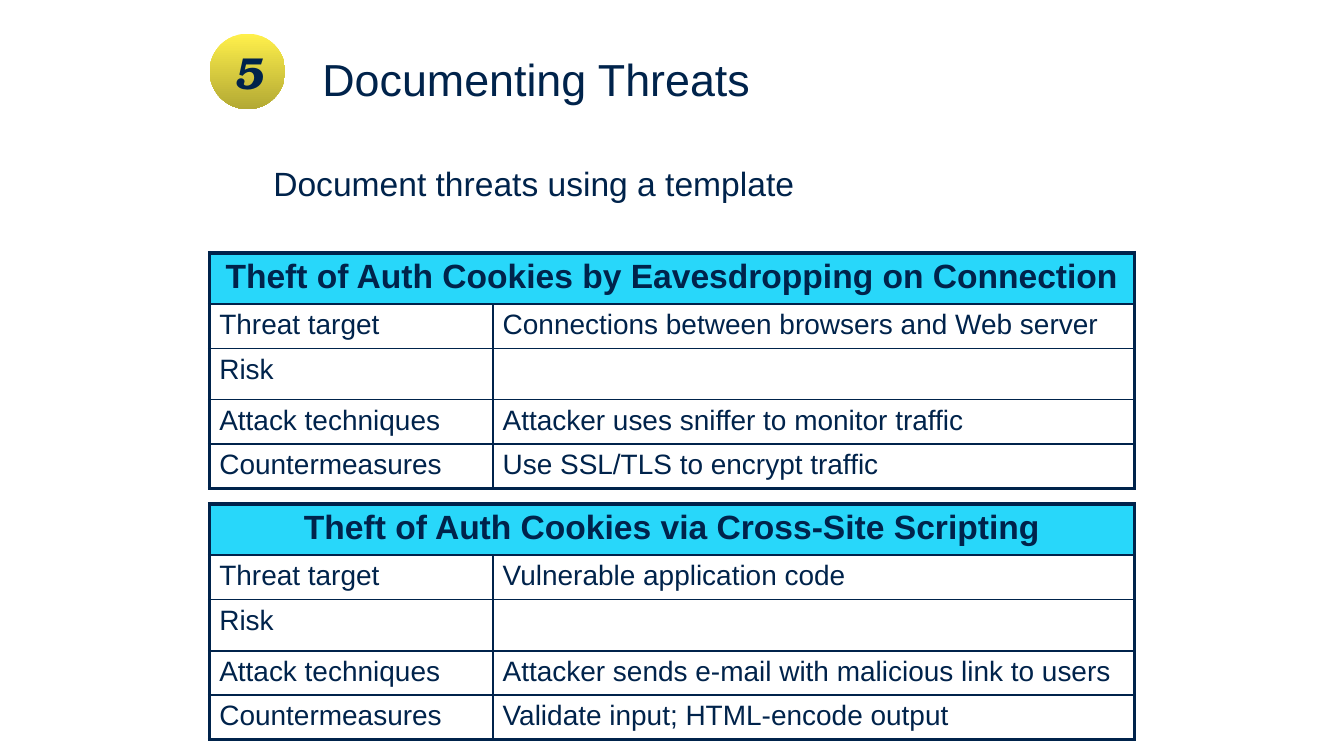
from lxml import etree
from pptx import Presentation
from pptx.dml.color import RGBColor
from pptx.enum import shapes, text
from pptx.oxml import ns
from pptx.util import Pt

NAVY = RGBColor(0x00, 0x23, 0x4B)
CYAN = RGBColor(0x28, 0xD7, 0xFA)
YELLOW = RGBColor(0xFF, 0xF0, 0x4B)
OLIVE = RGBColor(0xB3, 0xA9, 0x34)
LEFT, WIDTH = 112.3, 495.4
COLS = [151.8, 343.6]
ROWS = [27.3, 23.4, 26, 23.4, 23.4]
LABELS = ["Threat target", "Risk", "Attack techniques", "Countermeasures"]
THIN, THICK = 1, 2.25

THREATS = [
    (135.4, "Theft of Auth Cookies by Eavesdropping on Connection",
     ["Connections between browsers and Web server", "",
      "Attacker uses sniffer to monitor traffic",
      "Use SSL/TLS to encrypt traffic"]),
    (270, "Theft of Auth Cookies via Cross-Site Scripting",
     ["Vulnerable application code", "",
      "Attacker sends e-mail with malicious link to users",
      "Validate input; HTML-encode output"]),
]


def write(frame, words, size, bold=False, font="Arial"):
    """Add one run to the first paragraph and return both."""
    para = frame.paragraphs[0]
    run = para.add_run()
    run.text = words
    run.font.size = Pt(size)
    run.font.name = font
    run.font.bold = bold
    run.font.color.rgb = NAVY
    return para, run


def edge(cell, sides):
    """Draw the cell's borders; sides maps L, R, T, B to widths, in that order."""
    props = cell._tc.get_or_add_tcPr()
    for spot, (side, width) in enumerate(sides.items()):
        line = etree.Element(ns.qn(f"a:ln{side}"), w=str(Pt(width)))
        fill = etree.SubElement(line, ns.qn("a:solidFill"))
        etree.SubElement(fill, ns.qn("a:srgbClr"), val=str(NAVY))
        props.insert(spot, line)


deck = Presentation()
deck.slide_width, deck.slide_height = Pt(720), Pt(405)
slide = deck.slides.add_slide(deck.slide_layouts[6])

# Title and lead line
title = slide.shapes.add_textbox(Pt(165.6), Pt(27.4), Pt(437.8), Pt(80.6))
title.text_frame.word_wrap = True
para, run = write(title.text_frame, "Documenting Threats", 24)
para.line_spacing = 0.9

lead = slide.shapes.add_textbox(Pt(LEFT), Pt(83.5), Pt(WIDTH), Pt(28.8))
lead.text_frame.word_wrap = True
para, run = write(lead.text_frame, "Document threats using a template", 18)
para._p.get_or_add_pPr().set("marL", str(Pt(27)))

# Threat tables
for top, head, notes in THREATS:
    frame = slide.shapes.add_table(len(ROWS), len(COLS), Pt(LEFT), Pt(top),
                                   Pt(WIDTH), Pt(sum(ROWS)))
    table = frame.table
    for col, width in zip(table.columns, COLS):
        col.width = Pt(width)
    for row, height in zip(table.rows, ROWS):
        row.height = Pt(height)
    table.cell(0, 0).merge(table.cell(0, 1))

    grid = [(head, "")] + list(zip(LABELS, notes))
    last = len(grid) - 1
    for r, pair in enumerate(grid):
        for c, words in enumerate(pair):
            cell = table.cell(r, c)
            cell.margin_left = cell.margin_right = Pt(5.2)
            cell.margin_top = cell.margin_bottom = Pt(2.9)
            if r == 0:
                cell.fill.solid()
                cell.fill.fore_color.rgb = CYAN
            else:
                cell.fill.background()
            edge(cell, {"L": THICK if c == 0 else THIN,
                        "R": THICK if c == 1 or r == 0 else THIN,
                        "T": THICK if r == 0 else THIN,
                        "B": THICK if r == last else THIN})
            if words:
                para, run = write(cell.text_frame, words,
                                  15 if r else 18, r == 0)
                if r == 0:
                    para.alignment = text.PP_ALIGN.CENTER

# Step badge
badge = slide.shapes.add_shape(shapes.MSO_SHAPE.OVAL, Pt(LEFT), Pt(18),
                               Pt(40.5), Pt(40.5))
badge.shadow.inherit = False
badge.line.fill.background()
badge.fill.gradient()
badge.fill.gradient_angle = 270
for stop, color, place in zip(badge.fill.gradient_stops,
                              (YELLOW, OLIVE), (0, 1)):
    stop.color.rgb = color
    stop.position = place
badge.text_frame.vertical_anchor = text.MSO_ANCHOR.MIDDLE
para, run = write(badge.text_frame, "5", 24, True, "TeX Gyre Bonum")
run.font.italic = True
para.alignment = text.PP_ALIGN.CENTER

deck.save("out.pptx")
